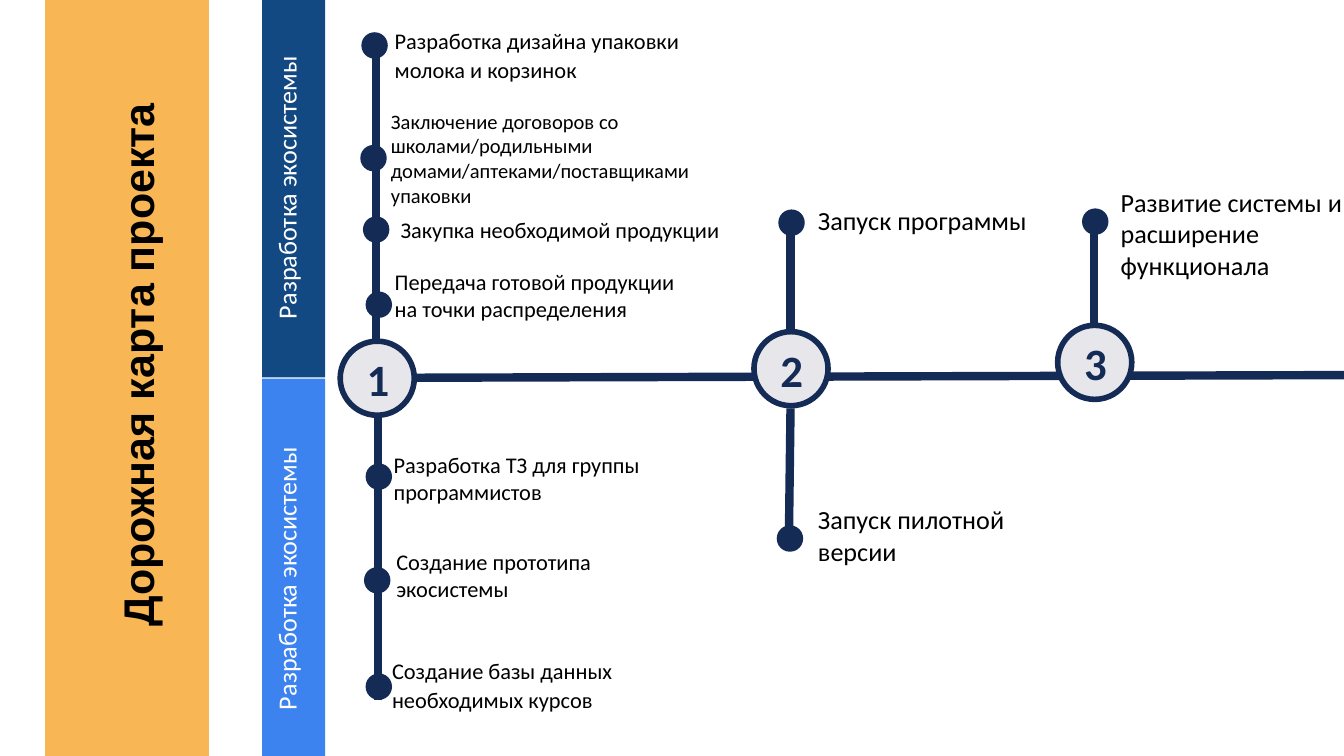
"""Build the project roadmap slide with three numbered stages and their milestones."""
from lxml.etree import SubElement
from pptx import Presentation
from pptx.dml.color import RGBColor
from pptx.enum.shapes import MSO_CONNECTOR, MSO_SHAPE
from pptx.enum.text import MSO_ANCHOR, MSO_AUTO_SIZE, PP_ALIGN
from pptx.oxml.ns import qn
from pptx.util import Cm, Pt

COLORS = {
    "navy": "142B56", "orange": "F8B654", "dark blue": "134983",
    "bright blue": "3D83EF", "pale": "E7E6EB", "white": "FFFFFF", "black": "000000",
}
TITLE = "Дорожная карта проекта"
TRACK_LABEL = "Разработка экосистемы"
TRACKS = [("bright blue", 10.13, 10.41), ("dark blue", 2.97, 3.02)]
STAGES = [("1", 6.43, 6.45), ("2", 14.25, 6.27), ("3", 19.99, 6.15)]
LINES = [
    (7.82, 7.14, 25.4, 7.09),
    (7.11, 6.45, 7.11, 0.66),
    (7.14, 13.23, 7.14, 7.85),
    (14.94, 6.27, 14.94, 4.06),
    (14.91, 10.11, 14.94, 7.72),
    (20.68, 6.15, 20.68, 4.06),
]
MILESTONES = [
    ("Разработка дизайна упаковки молока и корзинок", 12, 1.07, (6.83, 0.61), (7.21, 0.36, 6.22, 1.32)),
    ("Заключение договоров со школами/родильными домами/аптеками/поставщиками упаковки",
     11, 1, (6.81, 2.74), (7.14, 1.93, 6.48, 2.13)),
    ("Закупка необходимой продукции", 12, 1, (6.86, 4.09), (7.32, 3.96, 7.11, 0.76)),
    ("Передача готовой продукции на точки распределения", 12, 1, (6.91, 5.51), (7.21, 4.95, 6.22, 1.27)),
    ("Разработка ТЗ для группы программистов", 12, 1, (6.91, 8.76), (7.19, 8.41, 7.7, 1.27)),
    ("Создание прототипа экосистемы", 12, 1, (6.88, 10.72), (7.24, 10.24, 6.15, 1.27)),
    ("Создание базы данных необходимых курсов", 12, 1.07, (6.91, 12.73), (7.16, 12.27, 5.82, 1.32)),
    ("Запуск программы", 14, 1, (14.71, 3.96), (15.21, 3.73, 4.98, 0.86)),
    ("Запуск пилотной версии", 14, 1, (14.68, 9.93), (15.21, 9.4, 5.28, 1.45)),
    ("Развитие системы и расширение функционала", 14, 1, (20.45, 3.94), (20.93, 3.4, 4.98, 2.06)),
]
STAGE_SIZE, DOT_SIZE = 1.4, 0.5


def color(name):
    return RGBColor.from_string(COLORS[name])


def add_filled(slide, preset, box, fill, line=None, width=0, rotation=0):
    shape = slide.shapes.add_shape(preset, *map(Cm, box))
    shape.rotation = rotation
    shape.shadow.inherit = False
    shape.fill.solid()
    shape.fill.fore_color.rgb = color(fill)
    if line:
        shape.line.color.rgb = color(line)
        shape.line.width = Pt(width)
    else:
        shape.line.fill.background()
    return shape


def write(shape, text, size, ink, font="Calibri", bold=False, align=PP_ALIGN.LEFT):
    paragraph = shape.text_frame.paragraphs[0]
    paragraph.text = text
    paragraph.alignment = align
    run_font = paragraph.runs[0].font
    run_font.name, run_font.size, run_font.bold = font, Pt(size), bold
    run_font.color.rgb = color(ink)
    return paragraph


def add_label(slide, box, text, size, ink, wrap=True, **style):
    shape = slide.shapes.add_textbox(*map(Cm, box))
    shape.text_frame.word_wrap = wrap
    return shape, write(shape, text, size, ink, **style)


def add_line(slide, ends):
    connector = slide.shapes.add_connector(MSO_CONNECTOR.STRAIGHT, *map(Cm, ends))
    connector.line.color.rgb = color("navy")
    connector.line.width = Pt(4.5)
    SubElement(connector._element.spPr, qn("a:effectLst"))


def add_title(slide):
    band = add_filled(slide, MSO_SHAPE.RECTANGLE, (-4.85, 5.64, 14.5, 3.12),
                      "orange", "white", 0.75, 270)
    title = slide.shapes.title
    title.left, title.top, title.width, title.height = map(Cm, (-3.91, 6.15, 13, 1.5))
    title.rotation = 270
    title.fill.solid()
    title.fill.fore_color.rgb = color("orange")
    frame = title.text_frame
    frame.auto_size = MSO_AUTO_SIZE.NONE
    frame.vertical_anchor = MSO_ANCHOR.MIDDLE
    frame.margin_left = frame.margin_right = frame.margin_top = frame.margin_bottom = Cm(0.25)
    write(title, TITLE, 23, "black", "Arial", True, PP_ALIGN.CENTER)
    band._element.addnext(title._element)


def main():
    presentation = Presentation()
    presentation.slide_width, presentation.slide_height = Cm(25.4), Cm(14.29)
    slide = presentation.slides.add_slide(presentation.slide_layouts[5])
    add_title(slide)
    for fill, band_top, label_top in TRACKS:
        add_filled(slide, MSO_SHAPE.RECTANGLE, (1.98, band_top, 7.14, 1.19), fill, rotation=270)
        label, _ = add_label(slide, (2.59, label_top, 5.66, 0.86), TRACK_LABEL, 14, "white", wrap=False)
        label.rotation = 270
    for ends in LINES:
        add_line(slide, ends)
    for number, left, top in STAGES:
        add_filled(slide, MSO_SHAPE.OVAL, (left, top, STAGE_SIZE, STAGE_SIZE), "pale", "navy", 3)
        add_label(slide, (left + 0.25, top + 0.08, 0.94, 1.27), number, 24, "navy", wrap=False, bold=True)
    for text, size, spacing, dot, box in MILESTONES:
        add_filled(slide, MSO_SHAPE.OVAL, (*dot, DOT_SIZE, DOT_SIZE), "navy")
        _, paragraph = add_label(slide, box, text, size, "black")
        paragraph.line_spacing = spacing
    presentation.save("out.pptx")


if __name__ == "__main__":
    main()
